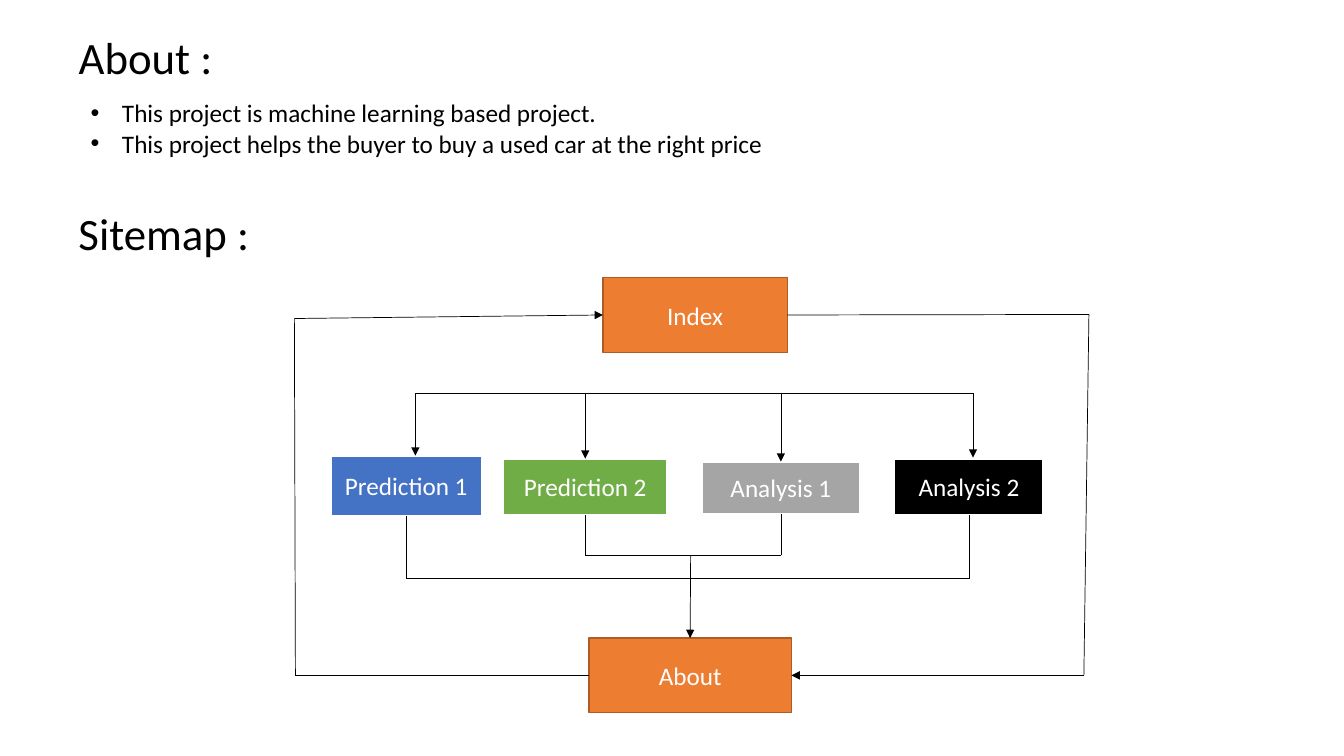
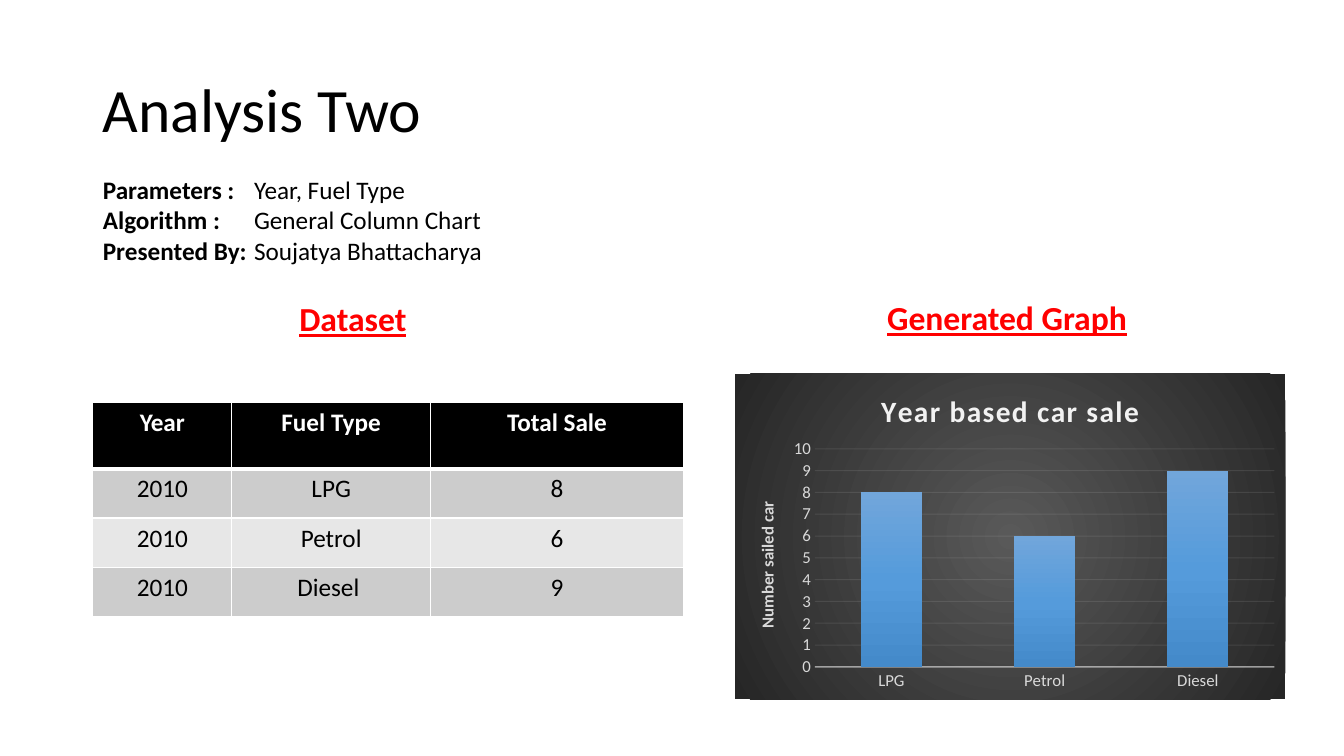
from lxml import etree
from pptx import Presentation
from pptx.chart.data import CategoryChartData as Data
from pptx.dml.color import RGBColor as RGB
from pptx.enum.chart import XL_CHART_TYPE as Kind, XL_TICK_MARK as Tick
from pptx.enum.shapes import MSO_CONNECTOR as Conn, MSO_SHAPE as Geom
from pptx.enum.text import MSO_ANCHOR as Anchor, MSO_AUTO_SIZE as Auto, PP_ALIGN as Align
from pptx.oxml import parse_xml
from pptx.oxml.ns import nsdecls, qn
from pptx.util import Inches, Pt

FACE = "Calibri"
BLACK = RGB(0, 0, 0)
WHITE = RGB(255, 255, 255)
RED = RGB(255, 0, 0)
BLUE = RGB(0x44, 0x72, 0xC4)
GREEN = RGB(0x70, 0xAD, 0x47)
GRAY = RGB(0xA5, 0xA5, 0xA5)
ORANGE = RGB(0xED, 0x7D, 0x31)
RUST = RGB(0xAF, 0x5C, 0x24)
DARK = RGB(0xCC, 0xCC, 0xCC)
LIGHT = RGB(0xE7, 0xE7, 0xE7)
PALE = RGB(0xF2, 0xF2, 0xF2)
SOFT = RGB(0xD9, 0xD9, 0xD9)

POINTS = [
    "This project is machine learning based project.",
    "This project helps the buyer to buy a used car at the right price",
]
PAGES = [
    ("Prediction 1", (3.28, 4.52, 1.5, 0.6), BLUE),
    ("Prediction 2", (4.99, 4.55, 1.63, 0.56), GREEN),
    ("Analysis 1", (6.96, 4.58, 1.57, 0.52), GRAY),
    ("Analysis 2", (8.87, 4.55, 1.48, 0.56), BLACK),
]
INDEX = ("Index", (5.98, 2.75, 1.83, 0.75), ORANGE, RUST, 1)
ABOUT = ("About", (5.84, 6.33, 2.01, 0.74), ORANGE, RUST, 1)
FACTS = [
    ("Parameters :", "Year, Fuel Type", 1.41),
    ("Algorithm :", "General Column Chart", 1.38),
    ("Presented By:", "Soujatya Bhattacharya", 1.53),
]
HEADS = [("Dataset", (2.87, 2.91, 1.68, 0.5)),
         ("Generated Graph ", (8.7, 2.9, 2.65, 0.5))]
ROWS = [
    ("Year", "Fuel Type", "Total Sale"),
    ("2010", "LPG", "8"),
    ("2010", "Petrol", "6"),
    ("2010", "Diesel ", "9"),
]
WIDTHS = [1.38, 1.97, 2.51]
HEIGHTS = [0.66, 0.49, 0.49, 0.49]
SALES = {"LPG": 8, "Petrol": 6, "Diesel": 9}
BACK = [(0, "595959"), (100, "262626")]
BARS = [(0, "71A6DB"), (50, "559BDB"), (100, "448ACA")]
ROUND = ('<a:path path="circle"><a:fillToRect l="50000" t="50000" '
         'r="50000" b="50000"/></a:path>')
DOWN = '<a:lin ang="5400000" scaled="0"/>'


def inch(vals):
    return [Inches(v) for v in vals]


def style(font, size, color, bold=False):
    font.name = FACE
    font.size = Pt(size)
    font.bold = bold
    font.color.rgb = color


def place(shape, box):
    shape.left, shape.top, shape.width, shape.height = inch(box)
    frame = shape.text_frame
    frame.word_wrap = True
    frame.auto_size = Auto.NONE
    frame.vertical_anchor = Anchor.TOP
    return frame


def label(shape, box, text, size, color=BLACK, bold=False):
    frame = place(shape, box)
    frame.text = text
    para = frame.paragraphs[0]
    para.alignment = Align.LEFT
    style(para.font, size, color, bold)
    return para


def note(slide, box, *args):
    return label(slide.shapes.add_textbox(*inch(box)), box, *args)


def indent(para, left, mark=None):
    props = para._p.get_or_add_pPr()
    props.set("marL", str(Inches(left)))
    props.set("indent", str(-Inches(left)))
    if mark:
        etree.SubElement(props, qn("a:buChar")).set("char", mark)
    else:
        etree.SubElement(props, qn("a:buNone"))
    para.space_before = Pt(0)
    return props


def node(slide, text, box, fill, edge=WHITE, width=1.5):
    shape = slide.shapes.add_shape(Geom.RECTANGLE, *inch(box))
    shape.shadow.inherit = False
    shape.fill.solid()
    shape.fill.fore_color.rgb = fill
    shape.line.color.rgb = edge
    shape.line.width = Pt(width)
    frame = shape.text_frame
    frame.text = text
    frame.vertical_anchor = Anchor.MIDDLE
    frame.paragraphs[0].alignment = Align.CENTER
    style(frame.paragraphs[0].font, 18, WHITE)
    return shape


def spot(shape, side):
    x, y, w, h = shape.left, shape.top, shape.width, shape.height
    return [(x + w // 2, y), (x, y + h // 2), (x + w // 2, y + h), (x + w, y + h // 2)][side]


def link(slide, start, end, arrow=False):
    glued = [not isinstance(e[0], (int, float)) for e in (start, end)]
    first, last = [spot(*e) if g else inch(e) for e, g in zip((start, end), glued)]
    line = slide.shapes.add_connector(Conn.STRAIGHT, *first, *last)
    if glued[0]:
        line.begin_connect(*start)
    if glued[1]:
        line.end_connect(*end)
    line.line.color.rgb = BLACK
    line.line.width = Pt(0.5)
    props = line._element.spPr
    if arrow:
        etree.SubElement(props.find(qn("a:ln")), qn("a:tailEnd")).set("type", "triangle")
    etree.SubElement(props, qn("a:effectLst"))


def about(deck):
    slide = deck.slides.add_slide(deck.slide_layouts[1])
    label(slide.shapes.title, (0.68, 0.24, 4, 0.64), "About :", 32)
    frame = place(slide.placeholders[1], (0.8, 0.92, 12.18, 0.71))
    frame.text = "\n".join(POINTS)
    for para in frame.paragraphs:
        indent(para, 0.31, "•")
        style(para.font, 18, BLACK)
    note(slide, (0.68, 1.99, 4, 0.64), "Sitemap :", 32)

    index, end = node(slide, *INDEX), node(slide, *ABOUT)
    pages = [node(slide, *page) for page in PAGES]
    mids = [box[0] + box[2] / 2 for _, box, _ in PAGES]

    rail, left, right = 3.9, 4.12, 9.65
    link(slide, (left, rail), (right, rail))
    link(slide, (left, rail), (left, 4.52), True)
    link(slide, (right, rail), (right, 4.54), True)
    for i in (1, 2):
        link(slide, (mids[i], rail), (pages[i], 0), True)

    for a, b, y in ((0, 3, 5.74), (1, 2, 5.51)):
        for i in (a, b):
            link(slide, (pages[i], 2), (mids[i], y))
        link(slide, (mids[a], y), (mids[b], y))
    link(slide, (6.85, 5.51), (end, 0), True)

    link(slide, (end, 1), (2.93, 6.7))
    link(slide, (2.93, 6.7), (2.92, 3.16))
    link(slide, (2.92, 3.16), (index, 1), True)
    link(slide, (index, 3), (10.8, 3.12))
    link(slide, (10.8, 3.12), (10.75, 6.7))
    link(slide, (10.75, 6.7), (end, 3), True)


def edges(cell, low):
    props = cell._tc.get_or_add_tcPr()
    for i, side in enumerate("LRTB"):
        wide = Pt(low if side == "B" else 1)
        props.insert(i, parse_xml(
            f'<a:ln{side} {nsdecls("a")} w="{wide}"><a:solidFill>'
            f'<a:srgbClr val="{WHITE}"/></a:solidFill></a:ln{side}>'))


def grid(slide):
    box = (0.92, 3.99, sum(WIDTHS), sum(HEIGHTS))
    table = slide.shapes.add_table(len(ROWS), len(WIDTHS), *inch(box)).table
    for col, width in zip(table.columns, WIDTHS):
        col.width = Inches(width)
    for r, row in enumerate(ROWS):
        table.rows[r].height = Inches(HEIGHTS[r])
        for c, text in enumerate(row):
            cell = table.cell(r, c)
            cell.text = text
            cell.fill.solid()
            cell.fill.fore_color.rgb = (DARK if r % 2 else LIGHT) if r else BLACK
            para = cell.text_frame.paragraphs[0]
            para.alignment = Align.CENTER
            style(para.font, 18, BLACK if r else WHITE, not r)
            edges(cell, 1 if r else 3)


def blend(stops, shade):
    marks = "".join(f'<a:gs pos="{p * 1000}"><a:srgbClr val="{c}"/></a:gs>' for p, c in stops)
    return f'<a:gradFill rotWithShape="1"><a:gsLst>{marks}</a:gsLst>{shade}</a:gradFill>'


def stroke(form, width, alpha):
    form.line.color.rgb = PALE
    form.line.width = Pt(width)
    color = form.line._get_or_add_ln().find(".//" + qn("a:srgbClr"))
    etree.SubElement(color, qn("a:alpha")).set("val", str(alpha * 1000))


def caption(owner, text, size, color):
    frame = owner.text_frame
    frame.text = text
    style(frame.paragraphs[0].font, size, color, True)
    return frame.paragraphs[0].font


def graph(slide):
    data = Data()
    data.categories = list(SALES)
    data.add_series("Series 1", list(SALES.values()))
    box = inch((7.29, 3.71, 5.46, 3.23))
    chart = slide.shapes.add_chart(Kind.COLUMN_CLUSTERED, *box, data).chart
    style(chart.font, 10, BLACK)
    chart.has_legend = False
    chart.has_title = True
    caption(chart.chart_title, "Year based car sale", 21, PALE)._element.set("spc", "100")
    plot = chart.plots[0]
    plot.gap_width = 150
    plot.vary_by_categories = False

    cats, vals = chart.category_axis, chart.value_axis
    for axis in (cats, vals):
        axis.major_tick_mark = axis.minor_tick_mark = Tick.NONE
        style(axis.tick_labels.font, 12, SOFT)
    stroke(cats.format, 1, 54)
    vals.minimum_scale, vals.maximum_scale, vals.major_unit = 0, 10, 1
    vals.format.line.fill.background()
    stroke(vals.major_gridlines.format, 0.75, 10)
    caption(vals.axis_title, "Number sailed car", 12, SOFT)

    space = chart._chartSpace
    space.find(qn("c:chart")).addnext(parse_xml(
        f'<c:spPr {nsdecls("c", "a")}>{blend(BACK, ROUND)}<a:ln><a:noFill/></a:ln></c:spPr>'))
    look = plot.series[0]._element.get_or_add_spPr()
    look.append(parse_xml(blend(BARS, DOWN).replace("<a:gradFill", f'<a:gradFill {nsdecls("a")}', 1)))
    area = space.find(".//" + qn("c:plotArea"))
    for old in area.findall(qn("c:layout")):
        area.remove(old)
    spots = {"x": 0.145, "y": 0.23, "w": 0.835, "h": 0.67}
    sizes = "".join(f'<c:{k} val="{v}"/>' for k, v in spots.items())
    area.insert(0, parse_xml(
        f'<c:layout {nsdecls("c")}><c:manualLayout><c:layoutTarget val="inner"/>'
        f'<c:xMode val="edge"/><c:yMode val="edge"/>{sizes}</c:manualLayout></c:layout>'))


def study(deck):
    slide = deck.slides.add_slide(deck.slide_layouts[1])
    title = label(slide.shapes.title, (0.92, 0.74, 11.5, 0.9), "Analysis Two", 44)
    title.line_spacing = 0.9
    frame = place(slide.placeholders[1], (0.92, 1.68, 6.85, 1.01))
    for i, (name, value, stop) in enumerate(FACTS):
        para = frame.add_paragraph() if i else frame.paragraphs[0]
        tabs = etree.SubElement(indent(para, 0), qn("a:tabLst"))
        tab = etree.SubElement(tabs, qn("a:tab"))
        tab.set("pos", str(Inches(stop)))
        tab.set("algn", "l")
        for text, bold in ((name + "\t", True), (value, False)):
            run = para.add_run()
            run.text = text
            style(run.font, 18, BLACK, bold)
    for text, box in HEADS:
        note(slide, box, text, 24, RED, True).font.underline = True
    grid(slide)
    graph(slide)


def main():
    deck = Presentation()
    deck.slide_width, deck.slide_height = inch((13.33, 7.5))
    about(deck)
    study(deck)
    deck.save("out.pptx")


if __name__ == "__main__":
    main()
